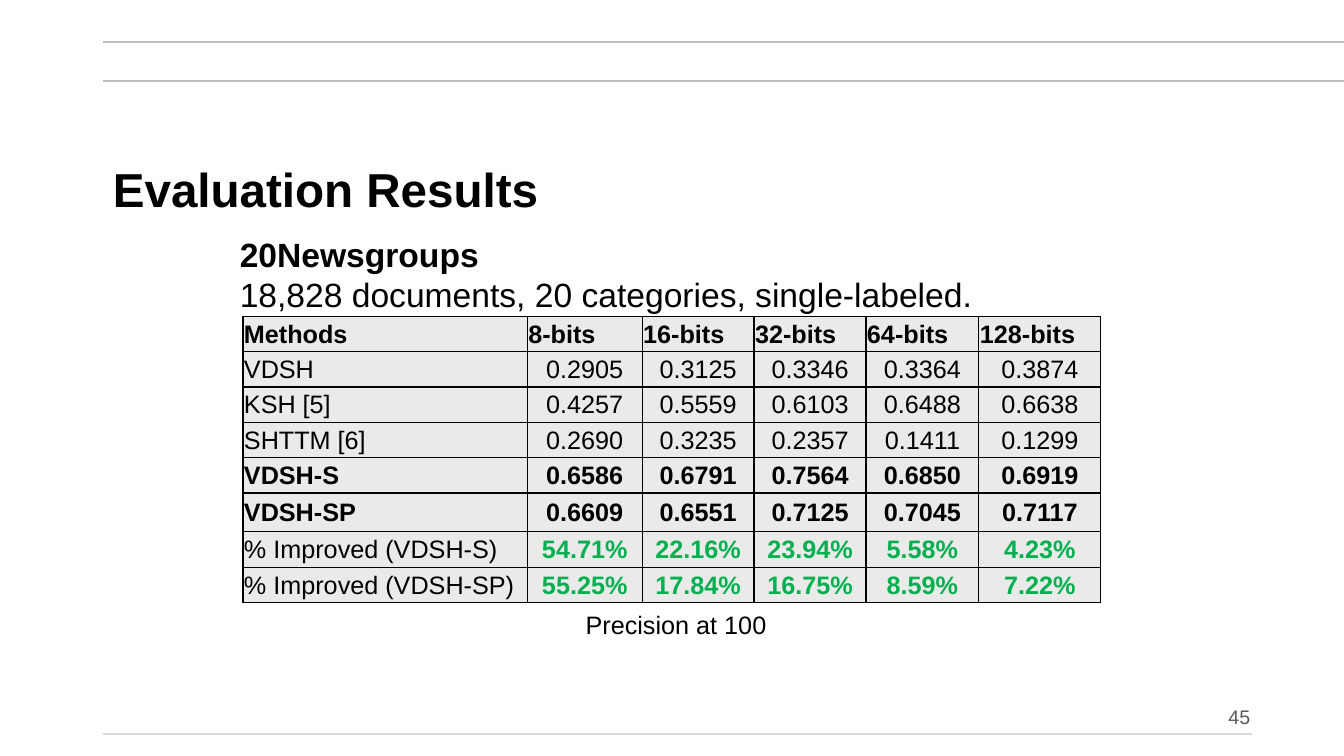
from lxml import etree
from pptx import Presentation
from pptx.dml.color import RGBColor
from pptx.enum.shapes import MSO_CONNECTOR
from pptx.enum.text import MSO_ANCHOR, MSO_AUTO_SIZE, PP_ALIGN
from pptx.oxml import parse_xml
from pptx.oxml.ns import nsdecls, qn
from pptx.util import Inches, Pt

STRAIGHT = MSO_CONNECTOR.STRAIGHT
MIDDLE, BOTTOM, TOP = MSO_ANCHOR.MIDDLE, MSO_ANCHOR.BOTTOM, MSO_ANCHOR.TOP
LEFT, CENTER, RIGHT = PP_ALIGN.LEFT, PP_ALIGN.CENTER, PP_ALIGN.RIGHT
NO_FIT = MSO_AUTO_SIZE.NONE
COLORS = {
    "text": "000000", "rule": "BFBFBF", "footer_rule": "D9D9D9",
    "page": "595959", "cell": "EAEAE9", "gain": "00B050",
}


def write(p, text, size, bold=False, color="text", align=LEFT):
    p.alignment = align
    r = p.add_run()
    r.text = text
    for name, value in {"name": "Arial", "size": Pt(size), "bold": bold}.items():
        setattr(r.font, name, value)
    r.font.color.rgb = RGBColor.from_string(COLORS[color])


def place(sp, box, anchor=TOP):
    sp.left, sp.top, sp.width, sp.height = [Inches(v) for v in box]
    tf = sp.text_frame
    for name, value in {"word_wrap": True, "auto_size": NO_FIT, "vertical_anchor": anchor}.items():
        setattr(tf, name, value)
    return tf


prs = Presentation()
prs.slide_width, prs.slide_height = Inches(13.33), Inches(7.5)
s = prs.slides.add_slide(prs.slide_layouts[1])

for y, right, color in [(0.8, 13.33, "rule"), (0.42, 13.33, "rule"), (7.28, 12.42, "footer_rule")]:
    line = s.shapes.add_connector(STRAIGHT, Inches(1.02), Inches(y), Inches(right), Inches(y))
    line.line.width = Pt(1.5)
    line.line.color.rgb = RGBColor.from_string(COLORS[color])
    etree.SubElement(line._element.spPr, qn("a:effectLst"))

p = place(s.shapes.title, (1.02, 1.28, 11.39, 1.25), MIDDLE).paragraphs[0]
p.line_spacing = 0.9
write(p, "Evaluation Results", 34, bold=True)

tf = place(s.shapes.add_textbox(0, 0, 0, 0), (2.28, 2.27, 7.54, 1.31))
write(tf.paragraphs[0], "20Newsgroups", 24, bold=True)
write(tf.add_paragraph(), "18,828 documents, 20 categories, single-labeled.", 24)

tf = place(s.shapes.add_textbox(0, 0, 0, 0), (5.71, 6, 2.05, 0.4))
write(tf.paragraphs[0], "Precision at 100", 18)

p = place(s.placeholders[1], (8.26, 6.84, 4.24, 0.44), BOTTOM).paragraphs[0]
pPr = p._p.get_or_add_pPr()
pPr.set("marL", "0")
pPr.set("indent", "0")
etree.SubElement(pPr, qn("a:buNone"))
p.line_spacing = 0.9
p.space_before = Pt(0)
write(p, "45", 14, color="page", align=RIGHT)

results = [
    ("Methods", "8-bits", "16-bits", "32-bits", "64-bits", "128-bits"),
    ("VDSH", "0.2905", "0.3125", "0.3346", "0.3364", "0.3874"),
    ("KSH [5]", "0.4257", "0.5559", "0.6103", "0.6488", "0.6638"),
    ("SHTTM [6]", "0.2690", "0.3235", "0.2357", "0.1411", "0.1299"),
    ("VDSH-S", "0.6586", "0.6791", "0.7564", "0.6850", "0.6919"),
    ("VDSH-SP", "0.6609", "0.6551", "0.7125", "0.7045", "0.7117"),
    ("% Improved (VDSH-S)", "54.71%", "22.16%", "23.94%", "5.58%", "4.23%"),
    ("% Improved (VDSH-SP)", "55.25%", "17.84%", "16.75%", "8.59%", "7.22%"),
]
col_widths = [2.82, 1.14, 1.11, 1.11, 1.12, 1.21]
row_heights = [0.35, 0.35, 0.35, 0.35, 0.35, 0.38, 0.36, 0.35]
bold_rows = (0, 4, 5)
cell_format = {
    "margin_left": Inches(0.01), "margin_right": Inches(0.01),
    "margin_top": Inches(0.01), "margin_bottom": 0, "vertical_anchor": MIDDLE,
}

table = s.shapes.add_table(len(results), len(col_widths), Inches(2.41), Inches(3.14),
                           Inches(8.51), Inches(2.82)).table
table.first_row = table.horz_banding = False
for col, width in zip(table.columns, col_widths):
    col.width = Inches(width)
for row, height in zip(table.rows, row_heights):
    row.height = Inches(height)

for i, values in enumerate(results):
    for j, value in enumerate(values):
        cell = table.cell(i, j)
        for name, setting in cell_format.items():
            setattr(cell, name, setting)
        tcPr = cell._tc.get_or_add_tcPr()
        for side in ("lnL", "lnR", "lnT", "lnB"):
            tcPr.append(parse_xml(
                f'<a:{side} {nsdecls("a")} w="12700"><a:solidFill>'
                f'<a:srgbClr val="{COLORS["text"]}"/></a:solidFill></a:{side}>'))
        cell.fill.solid()
        cell.fill.fore_color.rgb = RGBColor.from_string(COLORS["cell"])
        gain = value.endswith("%")
        write(cell.text_frame.paragraphs[0], value, 18, bold=gain or i in bold_rows,
              color="gain" if gain else "text", align=CENTER if i and j else LEFT)

prs.save("out.pptx")
